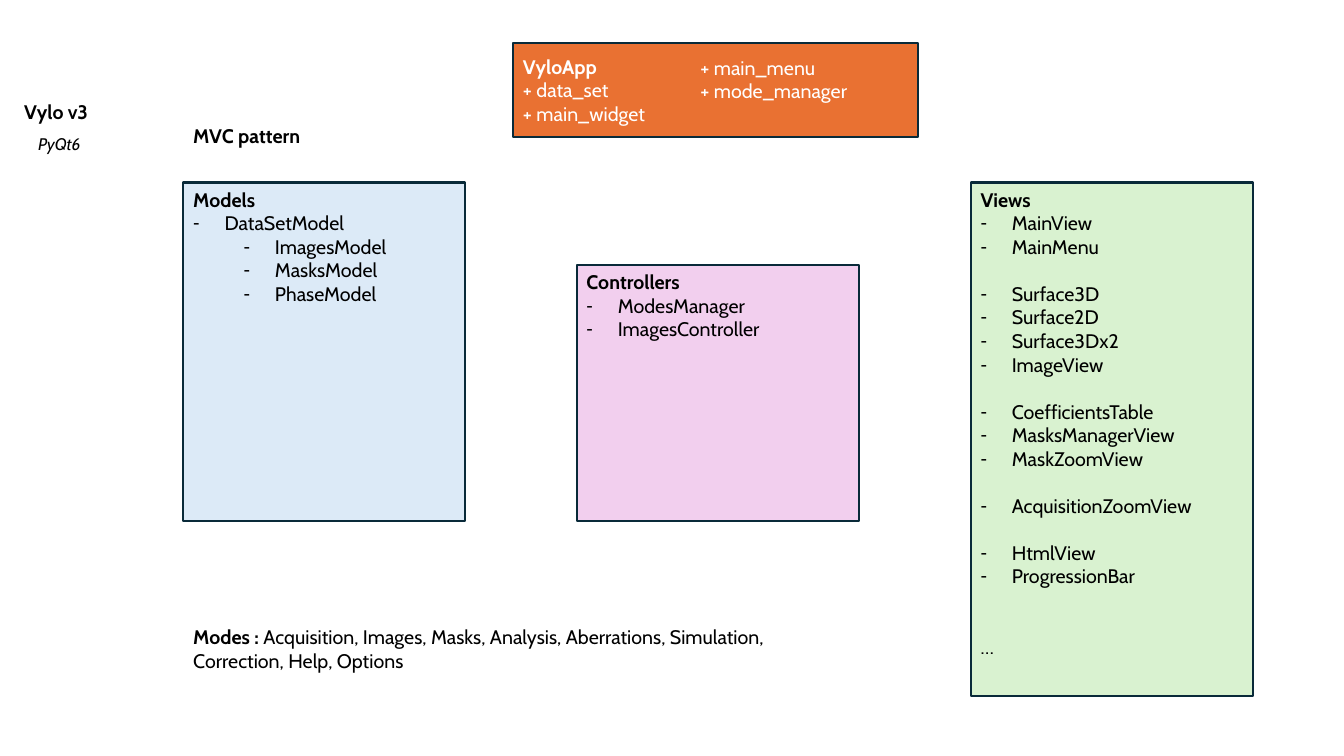
"""Build the MVC class overview slide of a PyQt6 application."""
from dataclasses import dataclass

from lxml.etree import SubElement
from pptx import Presentation
from pptx.dml.color import RGBColor as Color
from pptx.enum.shapes import MSO_SHAPE as Preset
from pptx.enum.text import MSO_ANCHOR as Anchor, MSO_AUTO_SIZE as AutoSize, PP_ALIGN as Align
from pptx.oxml.ns import qn
from pptx.util import Cm, Pt


@dataclass(frozen=True)
class Theme:
    font: str = "Cabin"
    size: float = 14
    small: float = 12
    line_height: float = 16.8
    border: str = "092A39"
    text: str = "000000"
    light: str = "FFFFFF"
    models: str = "DCEAF7"
    views: str = "D9F2D0"
    controllers: str = "F2CFEE"
    app: str = "E97132"


theme = Theme()


def setup(shape, box, fill=None, anchor=Anchor.TOP, wrap=True):
    """Place a shape, give it an optional panel fill and return its text frame."""
    shape.left, shape.top, shape.width, shape.height = map(Cm, box)
    if fill:
        shape.fill.solid()
        shape.fill.fore_color.rgb = Color.from_string(fill)
        shape.line.color.rgb = Color.from_string(theme.border)
        shape.line.width = Pt(1.5)
    frame = shape.text_frame
    frame.auto_size = AutoSize.NONE
    frame.word_wrap = wrap
    frame.vertical_anchor = anchor
    frame.margin_left = frame.margin_right = Cm(0.25)
    frame.margin_top = frame.margin_bottom = Cm(0.13)
    return frame


def write(frame, runs, level=None, gap=0, color=theme.text, size=theme.size):
    """Write one paragraph of (text, bold, italic) runs, dashed if it has a level."""
    first = frame.paragraphs[0]
    paragraph = frame.add_paragraph() if first.runs else first
    paragraph.alignment = Align.LEFT
    paragraph.level = level or 0
    paragraph.space_before = Pt(gap * theme.line_height)
    properties = paragraph._p.get_or_add_pPr()
    dashed = level is not None
    properties.set("marL", str(Cm(0.79 + 1.27 * level) if dashed else 0))
    properties.set("indent", str(-Cm(0.79) if dashed else 0))
    if dashed:
        SubElement(properties, qn("a:buChar")).set("char", "-")
    else:
        SubElement(properties, qn("a:buNone"))
    for text, bold, italic in runs:
        run = paragraph.add_run()
        run.text = text
        font = run.font
        font.name, font.size = theme.font, Pt(size)
        font.bold, font.italic = bold, italic
        font.color.rgb = Color.from_string(color)


presentation = Presentation()
presentation.slide_width, presentation.slide_height = Cm(33.87), Cm(19.05)
slide = presentation.slides.add_slide(presentation.slide_layouts.get_by_name("Comparison"))
models_body, controllers_body, views_body, modes_body = list(slide.placeholders)[1:5]

title = setup(slide.shapes.title, (0.36, 2.39, 2.18, 0.86), wrap=False)
write(title, [("Vylo v3", True, False)])

labels = [
    ("PyQt6", (0.71, 3.25, 1.63, 0.76), theme.small, False, True),
    ("MVC pattern", (4.62, 3, 7.11, 0.86), theme.size, True, False),
]
for text, box, size, bold, italic in labels:
    label = setup(slide.shapes.add_textbox(0, 0, 0, 0), box, wrap=bold)
    write(label, [(text, bold, italic)], size=size)

panels = [
    (models_body, "Models", (4.62, 4.6, 7.11, 8.53), theme.models, [
        ("DataSetModel", 0, 0), ("ImagesModel", 1, 0),
        ("MasksModel", 1, 0), ("PhaseModel", 1, 0)]),
    (controllers_body, "Controllers", (14.53, 6.68, 7.11, 6.45), theme.controllers, [
        ("ModesManager", 0, 0), ("ImagesController", 0, 0)]),
    (views_body, "Views", (24.46, 4.6, 7.11, 12.95), theme.views, [
        ("MainView", 0, 0), ("MainMenu", 0, 0),
        ("Surface3D", 0, 1), ("Surface2D", 0, 0), ("Surface3Dx2", 0, 0), ("ImageView", 0, 0),
        ("CoefficientsTable", 0, 1), ("MasksManagerView", 0, 0), ("MaskZoomView", 0, 0),
        ("AcquisitionZoomView", 0, 1),
        ("HtmlView", 0, 1), ("ProgressionBar", 0, 0),
        ("…", None, 2)]),
]
for body, heading, box, fill, classes in panels:
    panel = setup(body, box, fill)
    write(panel, [(heading, True, False)])
    for name, level, gap in classes:
        write(panel, [(name, False, False)], level, gap)

app_shape = slide.shapes.add_shape(Preset.RECTANGLE, 0, 0, 0, 0)
app_shape.shadow.inherit = False
app = setup(app_shape, (12.93, 1.09, 10.21, 2.36), theme.app, Anchor.MIDDLE)
app_members = setup(slide.shapes.add_textbox(0, 0, 0, 0), (17.4, 1.27, 4.6, 1.45))
for frame, lines in [
    (app, ["VyloApp", "+ data_set", "+ main_widget"]),
    (app_members, ["+ main_menu", "+ mode_manager"]),
]:
    for line in lines:
        write(frame, [(line, line == "VyloApp", False)], color=theme.light)

modes = setup(modes_body, (4.62, 15.62, 15.42, 1.45))
write(modes, [
    ("Modes : ", True, False),
    ("Acquisition, Images, Masks, Analysis, Aberrations, Simulation, "
     "Correction, Help, Options", False, False),
])

presentation.save("out.pptx")
